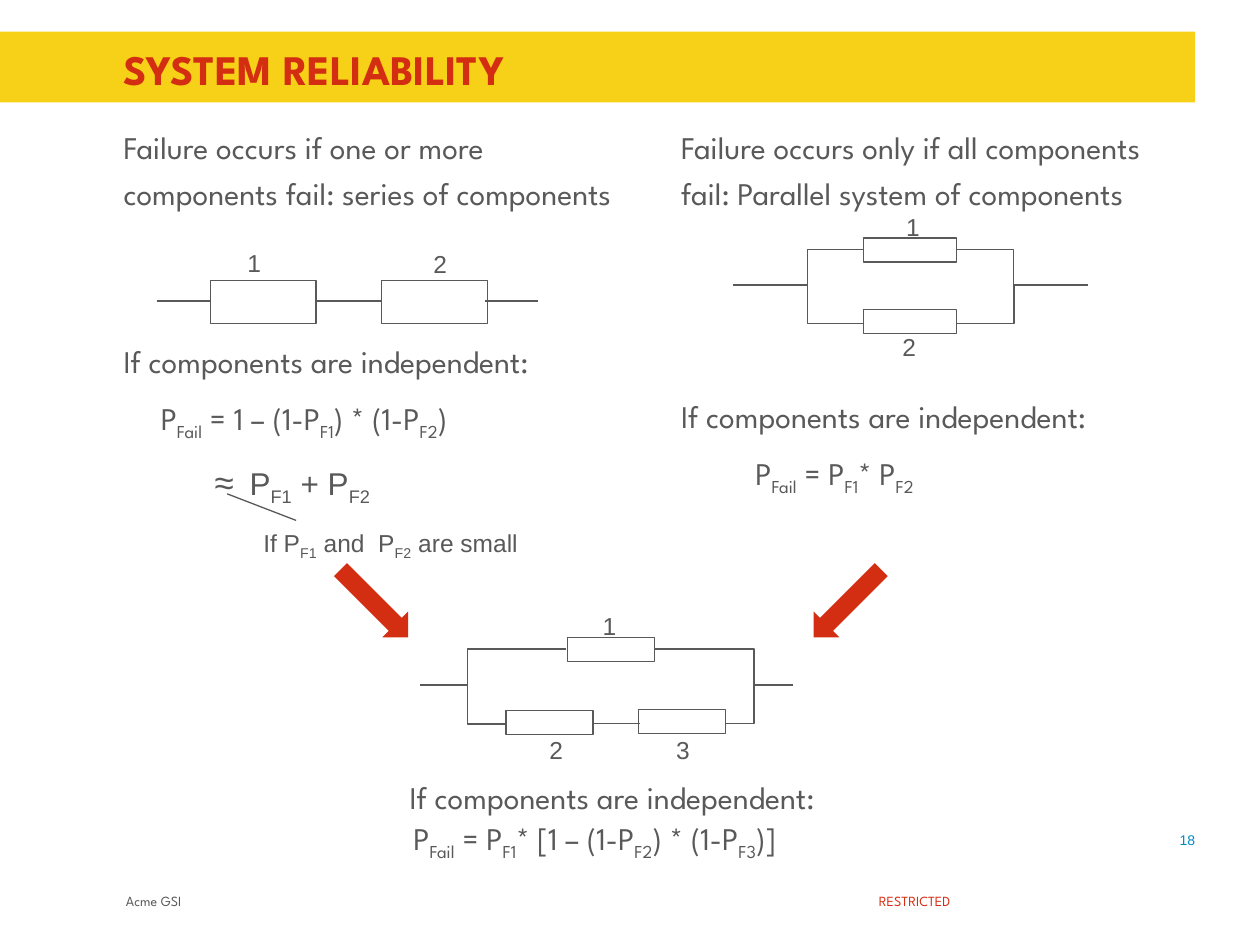
from dataclasses import dataclass
from typing import NamedTuple

from lxml import etree
from pptx import Presentation
from pptx.dml.color import RGBColor
from pptx.enum.shapes import MSO_CONNECTOR, MSO_SHAPE
from pptx.enum.text import MSO_ANCHOR, PP_ALIGN
from pptx.oxml.ns import qn
from pptx.util import Pt

RECT, ARROW = MSO_SHAPE.RECTANGLE, MSO_SHAPE.DOWN_ARROW
STRAIGHT = MSO_CONNECTOR.STRAIGHT
LEFT, CENTER, RIGHT = PP_ALIGN.LEFT, PP_ALIGN.CENTER, PP_ALIGN.RIGHT
TOP, MIDDLE = MSO_ANCHOR.TOP, MSO_ANCHOR.MIDDLE


@dataclass(frozen=True)
class Theme:
    yellow: str = "F7D117"
    red: str = "D42E12"
    grey: str = "595959"
    blue: str = "008BBF"
    head: str = "League Spartan"
    plain: str = "Arial"
    title: float = 24
    symbol: float = 20
    body: float = 18
    label: float = 14
    small: float = 8
    line: float = 0.75
    spacing: float = 1.2


class Point(NamedTuple):
    x: float
    y: float


class Label(NamedTuple):
    text: str
    x: float
    y: float


@dataclass(frozen=True)
class Circuit:
    box_w: float
    box_h: float
    boxes: list[Point]
    wires: list[list[Point]]
    labels: list[Label]


T = Theme()


def rgb(color: str) -> RGBColor:
    return RGBColor.from_string(color)


def add_text(s, text: str, x: float, y: float, w: float, h: float, *,
             size: float = T.body, font: str = T.head, color: str = T.grey,
             bold: bool = False, align=LEFT, anchor=TOP, spacing: float = 1,
             lead: str = "", tab: float = 0) -> None:
    tf = s.shapes.add_textbox(Pt(x), Pt(y), Pt(w), Pt(h)).text_frame
    tf.word_wrap = True
    tf.vertical_anchor = anchor
    tf.margin_left = tf.margin_right = tf.margin_top = tf.margin_bottom = 0
    p = tf.paragraphs[0]
    p.alignment, p.line_spacing = align, spacing
    if tab:
        tabs = etree.SubElement(p._p.get_or_add_pPr(), qn("a:tabLst"))
        etree.SubElement(tabs, qn("a:tab"), pos=str(Pt(tab)), algn="l")
    parts = [(part, size, i % 2) for i, part in enumerate(text.split("|"))]
    if lead:
        parts.insert(0, (lead, T.symbol, 0))
    for part, part_size, is_sub in parts:
        if not part:
            continue
        r = p.add_run()
        r.text = part
        r.font.size, r.font.name, r.font.bold = Pt(part_size), font, bold
        r.font.color.rgb = rgb(color)
        if is_sub:
            r.font._element.set("baseline", "-25000")


def add_solid(s, kind, x: float, y: float, w: float, h: float, color: str,
              rotation: float = 0) -> None:
    sp = s.shapes.add_shape(kind, Pt(x), Pt(y), Pt(w), Pt(h))
    sp.shadow.inherit = False
    sp.fill.solid()
    sp.fill.fore_color.rgb = rgb(color)
    sp.line.fill.background()
    sp.rotation = rotation


def style_line(sp) -> None:
    sp.line.color.rgb = rgb(T.grey)
    sp.line.width = Pt(T.line)


def add_outline(s, x: float, y: float, w: float, h: float) -> None:
    sp = s.shapes.add_shape(RECT, Pt(x), Pt(y), Pt(w), Pt(h))
    sp.shadow.inherit = False
    sp.fill.background()
    style_line(sp)


def add_wire(s, points: list[Point]) -> None:
    pts = [(Pt(x), Pt(y)) for x, y in points]
    if len(pts) == 2:
        sp = s.shapes.add_connector(STRAIGHT, *pts[0], *pts[1])
        etree.SubElement(sp._element.spPr, qn("a:effectLst"))
    else:
        builder = s.shapes.build_freeform(*pts[0], scale=1.0)
        builder.add_line_segments(pts[1:], close=False)
        sp = builder.convert_to_shape()
        sp.shadow.inherit = False
        sp.fill.background()
    style_line(sp)


def branch(outer: float, node: float, mid: float, upper: Point,
           lower: Point) -> list[list[Point]]:
    return [
        [Point(outer, mid), Point(node, mid), Point(node, upper.y), upper],
        [Point(node, mid), Point(node, lower.y), lower],
    ]


def add_circuit(s, c: Circuit) -> None:
    for box in c.boxes:
        add_outline(s, box.x, box.y, c.box_w, c.box_h)
    for wire in c.wires:
        add_wire(s, wire)
    for label in c.labels:
        add_text(s, label.text, label.x - 10, label.y - 8, 20, 16,
                 size=T.label, font=T.plain, align=CENTER)


SERIES = Circuit(
    60.5, 24.5,
    [Point(120.2, 160.5), Point(218, 160.5)],
    [[Point(a, 172), Point(b, 172)]
     for a, b in ((89.5, 120.2), (181.3, 218), (277.4, 307.4))],
    [Label("1", 145.2, 150), Label("2", 251.5, 150.5)],
)
PARALLEL = Circuit(
    53.3, 13.7,
    [Point(493.5, 136), Point(493.5, 177)],
    branch(419, 461.5, 162.8, Point(493.5, 142.6), Point(493.5, 184.8))
    + branch(621.5, 579.4, 162.8, Point(547, 142.6), Point(547, 184.8)),
    [Label("1", 521.7, 129.3), Label("2", 519.5, 197.5)],
)
COMBINED = Circuit(
    49.7, 13.7,
    [Point(324.3, 364.2), Point(289.2, 406), Point(365, 405.5)],
    branch(240, 267.1, 391.4, Point(323.3, 370.9), Point(289.2, 413.8))
    + branch(453.4, 430.8, 391.4, Point(374, 370.9), Point(414.7, 413.6))
    + [[Point(339.5, 413.3), Point(365.5, 413.3)]],
    [Label("1", 348.2, 357), Label("2", 317.8, 428.3), Label("3", 390.3, 428.3)],
)


def main() -> None:
    prs = Presentation()
    prs.slide_width, prs.slide_height = Pt(720), Pt(540)
    s = prs.slides.add_slide(prs.slide_layouts[6])

    add_solid(s, RECT, 0, 18, 683, 40.5, T.yellow)
    add_text(s, "SYSTEM RELIABILITY", 70.6, 23, 606, 33, size=T.title,
             color=T.red, bold=True, anchor=MIDDLE)

    independent = "If components are independent:"
    columns = (
        (70.6, "Failure occurs if one or more components fail: series of components",
         191, 21.3, "P|Fail| = 1 – (1-P|F1|) * (1-P|F2|)"),
        (389.2, "Failure occurs only if all components fail: Parallel system of components",
         222.8, 42.5, "P|Fail| = P|F1|* P|F2|"),
    )
    for x, heading, y, indent, formula in columns:
        add_text(s, heading, x, 69.1, 294, 56, spacing=T.spacing)
        add_text(s, independent, x, y, 294, 26, spacing=T.spacing)
        add_text(s, formula, x + indent, y + 32, 250, 26, spacing=T.spacing)

    for circuit in (SERIES, PARALLEL, COMBINED):
        add_circuit(s, circuit)

    add_wire(s, [Point(129.8, 282.2), Point(169.2, 297.4)])
    add_text(s, "P|F1| + P|F2|", 122.6, 263, 110, 24, font=T.plain,
             lead="≈\t", tab=20)
    add_text(s, "If P|F1| and  P|F2| are small", 150.5, 301.7, 160, 17,
             size=T.label, font=T.plain)

    for x, rotation in ((203.5, 315), (473.8, 45)):
        add_solid(s, ARROW, x, 317.5, 20.9, 54.7, T.red, rotation)

    add_text(s, independent, 234, 444.3, 250, 24)
    add_text(s, "P|Fail| = P|F1|* [1 – (1-P|F2|) * (1-P|F3|)]", 236.2, 468, 250, 24)

    add_text(s, "Acme GSI", 72, 509.8, 199, 14, size=T.small)
    add_text(s, "RESTRICTED", 480.2, 509.8, 85, 14, size=T.small,
             color=T.red, align=CENTER)
    add_text(s, "18", 662, 475.2, 21, 14, size=T.small, font=T.plain,
             color=T.blue, align=RIGHT)
    prs.save("out.pptx")


if __name__ == "__main__":
    main()
